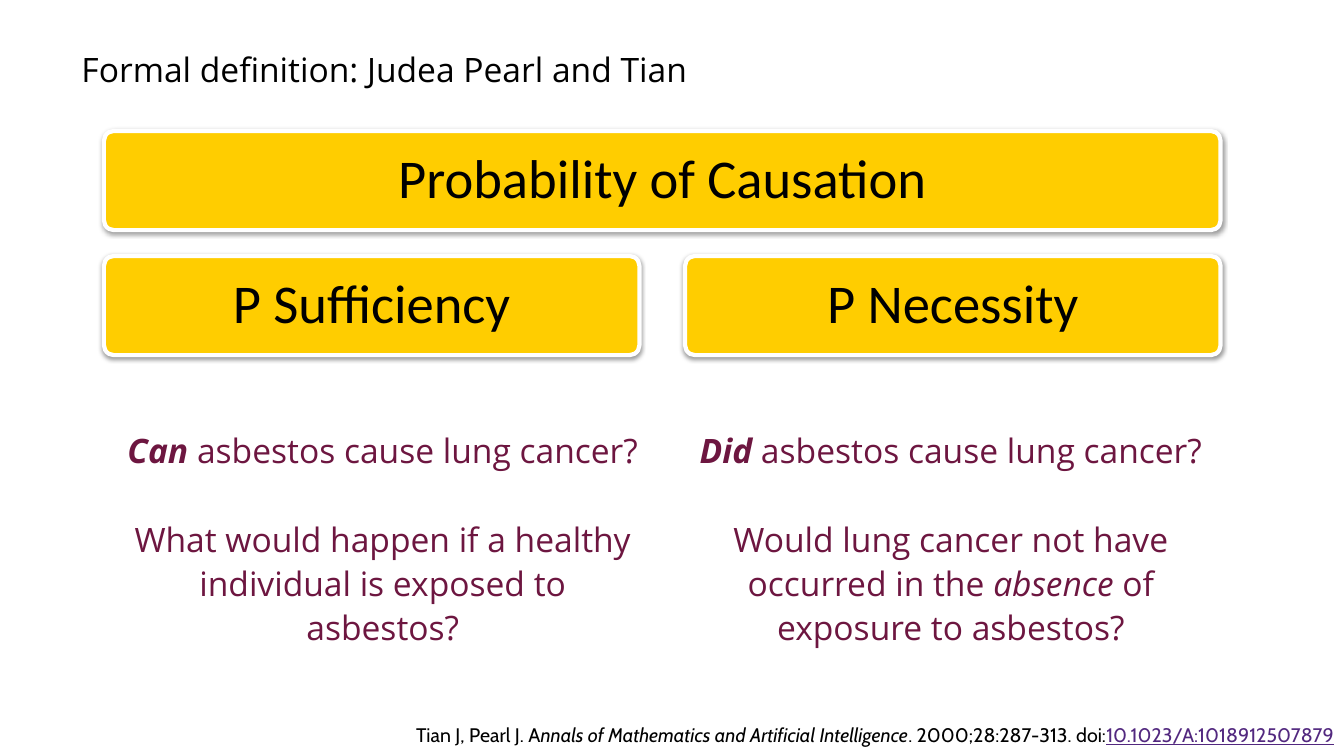
from lxml import etree
from pptx import Presentation
from pptx.dml.color import RGBColor
from pptx.enum import shapes, text
from pptx.oxml import ns
from pptx.util import Cm, Pt

BLACK = RGBColor(0x00, 0x00, 0x00)
WHITE = RGBColor(0xFF, 0xFF, 0xFF)
GOLD = RGBColor(0xFF, 0xCD, 0x00)
PLUM = RGBColor(0x6D, 0x16, 0x40)
VIOLET = RGBColor(0x52, 0x28, 0x7F)

SHADOW = f"""<a:effectLst {ns.nsdecls("a")}>
  <a:outerShdw blurRad="39400" dist="20300" dir="5400000" rotWithShape="0">
    <a:srgbClr val="000000"><a:alpha val="38000"/></a:srgbClr>
  </a:outerShdw>
</a:effectLst>"""


def style_paragraph(para, font_name, size, color, align, spacing):
    para.alignment = align
    para.line_spacing = spacing
    para.font.name = font_name
    para.font.size = Pt(size)
    para.font.color.rgb = color


def add_spans(para, spans):
    """Add (words, style) runs; the style letters are b for bold and i for italic."""
    for words, style in spans:
        span = para.add_run()
        span.text = words
        if "b" in style:
            span.font.bold = True
        if "i" in style:
            span.font.italic = True


deck = Presentation()
deck.slide_width, deck.slide_height = Cm(33.88), Cm(19.05)
page = deck.slides.add_slide(deck.slide_layouts[5])

# Title
title = page.shapes.title
title.left, title.top, title.width, title.height = Cm(1.8), Cm(1), Cm(29), Cm(1.8)
title.text_frame.vertical_anchor = text.MSO_ANCHOR.TOP
title.text_frame.auto_size = text.MSO_AUTO_SIZE.NONE
title.text_frame.text = "Formal definition: Judea Pearl and Tian"
style_paragraph(title.text_frame.paragraphs[0], "Open Sans", 24, BLACK,
                text.PP_ALIGN.LEFT, 1.1)

# Probability cards
cards = [
    ("Probability of Causation", 2.62, 3.3, 28.15),
    ("P Sufficiency", 2.62, 6.45, 13.5),
    ("P Necessity", 17.27, 6.45, 13.5),
]
for label, left, top, width in cards:
    card = page.shapes.add_shape(shapes.MSO_SHAPE.ROUNDED_RECTANGLE,
                                 Cm(left), Cm(top), Cm(width), Cm(2.5))
    card.adjustments[0] = 0.1
    card.fill.solid()
    card.fill.fore_color.rgb = GOLD
    card.line.color.rgb = WHITE
    card.line.width = Pt(3)
    card._element.spPr.append(etree.fromstring(SHADOW))
    frame = card.text_frame
    frame.margin_left = frame.margin_right = Cm(0.4)
    frame.margin_top = frame.margin_bottom = Cm(0.4)
    frame.vertical_anchor = text.MSO_ANCHOR.MIDDLE
    frame.text = label
    style_paragraph(frame.paragraphs[0], "Calibri", 39, BLACK,
                    text.PP_ALIGN.CENTER, 0.9)

# Questions under the lower cards
questions = [
    (2.85, [
        [("Can", "bi"), (" asbestos cause lung cancer?", "")],
        [("What would happen if a healthy individual is exposed to asbestos?", "")],
    ]),
    (17.17, [
        [("Did", "bi"), (" asbestos cause lung cancer?", "")],
        [("Would lung cancer not have occurred in the ", ""), ("absence", "i"),
         (" of exposure to asbestos?", "")],
    ]),
]
for left, paragraphs in questions:
    box = page.shapes.add_textbox(Cm(left), Cm(10.6), Cm(13.6), Cm(5.9))
    frame = box.text_frame
    frame.word_wrap = True
    for index, spans in enumerate(paragraphs):
        para = frame.add_paragraph() if index else frame.paragraphs[0]
        style_paragraph(para, "Open Sans", 24, PLUM, text.PP_ALIGN.CENTER, 1.1)
        if index:
            para.space_before = Pt(32)
        add_spans(para, spans)

# Citation
citation = page.shapes.add_textbox(Cm(8.68), Cm(17.8), Cm(25.2), Cm(1.07))
citation.text_frame.word_wrap = True
para = citation.text_frame.paragraphs[0]
style_paragraph(para, "Cabin", 14, BLACK, text.PP_ALIGN.RIGHT, 1.5)
add_spans(para, [
    ("Tian J, Pearl J. A", ""),
    ("nnals of Mathematics and Artificial Intelligence", "i"),
    (". 2000;28:287-313. doi:", ""),
    ("10.1023/A:1018912507879", ""),
])
doi = para.runs[-1]
doi.font.color.rgb = VIOLET
doi.font.underline = True

deck.save("out.pptx")
